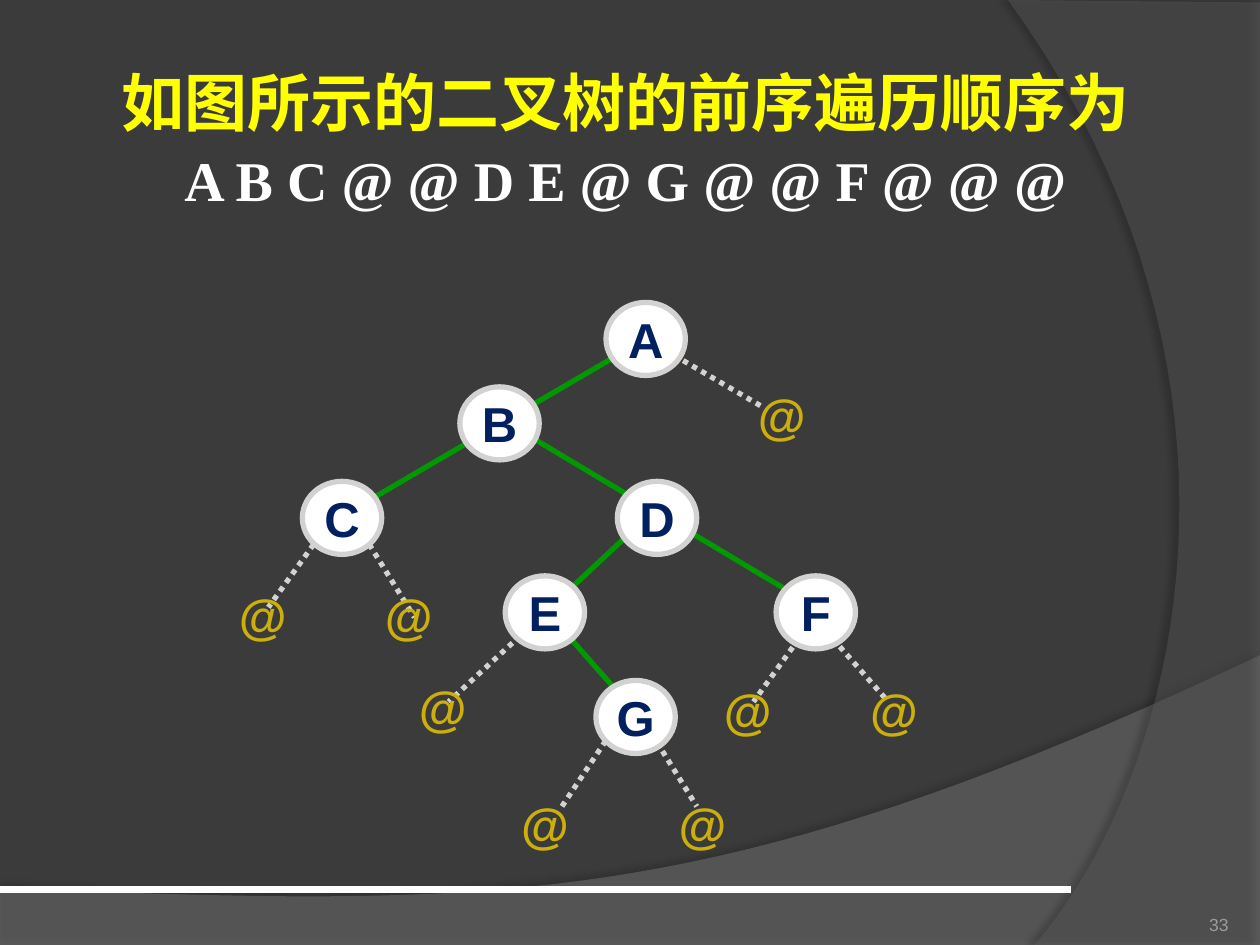
"""Build a slide showing a binary tree and its preorder traversal."""
from lxml.etree import SubElement
from pptx import Presentation
from pptx.dml.color import RGBColor
from pptx.enum.dml import MSO_LINE
from pptx.enum.shapes import MSO_CONNECTOR, MSO_SHAPE
from pptx.enum.text import MSO_ANCHOR, PP_ALIGN
from pptx.oxml.ns import qn
from pptx.util import Inches, Pt

BACKGROUND = RGBColor(0x3B, 0x3B, 0x3B)
WAVE = RGBColor(0x7F, 0x7F, 0x7F)
ARC = RGBColor(0x5E, 0x5E, 0x5E)
WHITE = RGBColor(0xFF, 0xFF, 0xFF)
YELLOW = RGBColor(0xFF, 0xFF, 0x00)
GREEN = RGBColor(0x00, 0x99, 0x00)
SILVER = RGBColor(0xD4, 0xD2, 0xD0)
NAVY = RGBColor(0x00, 0x20, 0x60)
GOLD = RGBColor(0xCC, 0xAF, 0x0A)
GRAY = RGBColor(0x9D, 0x9B, 0x9A)

NODE_WIDTH, NODE_HEIGHT = Inches(0.63), Inches(0.58)
CURVE_STEPS = 40


def write(frame, lines, font_name, align, anchor, bold=True):
    frame.word_wrap = True
    frame.vertical_anchor = anchor
    frame.margin_left = frame.margin_right = 0
    frame.margin_top = frame.margin_bottom = 0
    for index, (text, size, color) in enumerate(lines):
        paragraph = frame.add_paragraph() if index else frame.paragraphs[0]
        paragraph.alignment = align
        if len(lines) > 1:
            paragraph.line_spacing = 1.1
        run = paragraph.add_run()
        run.text = text
        run.font.name = font_name
        run.font.size = Pt(size)
        run.font.bold = bold
        run.font.color.rgb = color


def curve_points(start, control_1, control_2, end):
    points = []
    for step in range(CURVE_STEPS + 1):
        t = step / CURVE_STEPS
        weights = ((1 - t) ** 3, 3 * t * (1 - t) ** 2, 3 * t ** 2 * (1 - t), t ** 3)
        knots = (start, control_1, control_2, end)
        points.append(tuple(sum(w * knot[axis] for w, knot in zip(weights, knots))
                            for axis in (0, 1)))
    return points


prs = Presentation()
prs.slide_width, prs.slide_height = Inches(10), Inches(7.5)
slide = prs.slides.add_slide(prs.slide_layouts[6])
slide.background.fill.solid()
slide.background.fill.fore_color.rgb = BACKGROUND
shapes = slide.shapes

wave_outline = [(0, 7.05), (0, 7.51), (10, 7.51)] + curve_points(
    (10, 5.2), (5.59, 7.29), (3.91, 7.19), (0, 7.05))
arc_outline = [(10, 0.02), (10, 7.5)] + curve_points(
    (8.21, 7.5), (9.35, 6.19), (10.18, 3), (8, 0))
backdrops = [
    (wave_outline, WAVE, 45, 35, 3.5, 270),
    (arc_outline, ARC, 40, 45, 4, 180),
]
for outline, color, opacity, shadow_opacity, distance, direction in backdrops:
    corners = [(Inches(x), Inches(y)) for x, y in outline]
    builder = shapes.build_freeform(*corners[0], scale=1.0)
    builder.add_line_segments(corners[1:], close=True)
    backdrop = builder.convert_to_shape()
    backdrop.fill.solid()
    backdrop.fill.fore_color.rgb = color
    backdrop.line.fill.background()
    backdrop.shadow.inherit = False
    properties = backdrop.element.spPr
    fill_color = properties.find(qn("a:solidFill")).find(qn("a:srgbClr"))
    SubElement(fill_color, qn("a:alpha"), val=str(opacity * 1000))
    shadow = SubElement(properties.find(qn("a:effectLst")), qn("a:outerShdw"),
                        blurRad=str(Pt(4)), dist=str(Pt(distance)),
                        dir=str(direction * 60000), rotWithShape="0")
    shadow_color = SubElement(shadow, qn("a:srgbClr"), val="000000")
    SubElement(shadow_color, qn("a:alpha"), val=str(shadow_opacity * 1000))

footer_rule = [(0, 7.06, 8.5, 7.06)]
empty_links = [
    (4.19, 4.99, 3.56, 5.57), (4.9, 5.74, 4.46, 6.4), (5.17, 5.82, 5.53, 6.4),
    (2.49, 4.32, 2.13, 4.82), (2.93, 4.32, 3.29, 4.9), (6.61, 5.07, 7.05, 5.57),
    (5.35, 2.82, 6.07, 3.24), (6.34, 5.07, 5.98, 5.57),
]
child_links = [
    (4.46, 4.99, 4.9, 5.49), (4.99, 4.24, 4.37, 4.82),
    (4.1, 3.4, 6.34, 4.74), (4.9, 2.82, 2.76, 4.07),
]
line_groups = [
    (footer_rule, WHITE, 4.5, None),
    (empty_links, SILVER, 3, MSO_LINE.ROUND_DOT),
    (child_links, GREEN, 3, None),
]
for links, color, width, dash in line_groups:
    for ends in links:
        link = shapes.add_connector(MSO_CONNECTOR.STRAIGHT, *map(Inches, ends))
        link.line.color.rgb = color
        link.line.width = Pt(width)
        if dash:
            link.line.dash_style = dash
        SubElement(link.element.spPr, qn("a:effectLst"))

page_number = shapes.add_textbox(Inches(8.92), Inches(7.02), Inches(0.83), Inches(0.4))
write(page_number.text_frame, [("33", 10, GRAY)], "Arial",
      PP_ALIGN.RIGHT, MSO_ANCHOR.BOTTOM, bold=False)

heading = shapes.add_textbox(Inches(0.71), Inches(0.39), Inches(8.51), Inches(1.35))
write(heading.text_frame,
      [("如图所示的二叉树的前序遍历顺序为", 36, YELLOW),
       ("A B C @ @ D E @ G @ @ F @ @ @", 32, WHITE)],
      "Times New Roman", PP_ALIGN.CENTER, MSO_ANCHOR.MIDDLE)

nodes = {
    "A": (4.81, 2.4), "B": (3.65, 3.07), "C": (2.4, 3.82), "D": (4.9, 3.82),
    "E": (4.01, 4.57), "F": (6.16, 4.57), "G": (4.73, 5.4),
}
for letter, (left, top) in nodes.items():
    node = shapes.add_shape(MSO_SHAPE.OVAL, Inches(left), Inches(top),
                            NODE_WIDTH, NODE_HEIGHT)
    node.shadow.inherit = False
    node.fill.solid()
    node.fill.fore_color.rgb = WHITE
    node.line.color.rgb = SILVER
    node.line.width = Pt(3)
    write(node.text_frame, [(letter, 28, NAVY)], "Arial",
          PP_ALIGN.CENTER, MSO_ANCHOR.MIDDLE)

empty_children = [
    (1.77, 4.59), (2.93, 4.59), (3.2, 5.32), (4.01, 6.25),
    (5.26, 6.25), (5.62, 5.34), (6.78, 5.34), (5.89, 3),
]
for left, top in empty_children:
    empty_child = shapes.add_textbox(Inches(left), Inches(top), NODE_WIDTH, NODE_HEIGHT)
    write(empty_child.text_frame, [("@", 28, GOLD)], "Arial",
          PP_ALIGN.CENTER, MSO_ANCHOR.MIDDLE)

prs.save("out.pptx")
